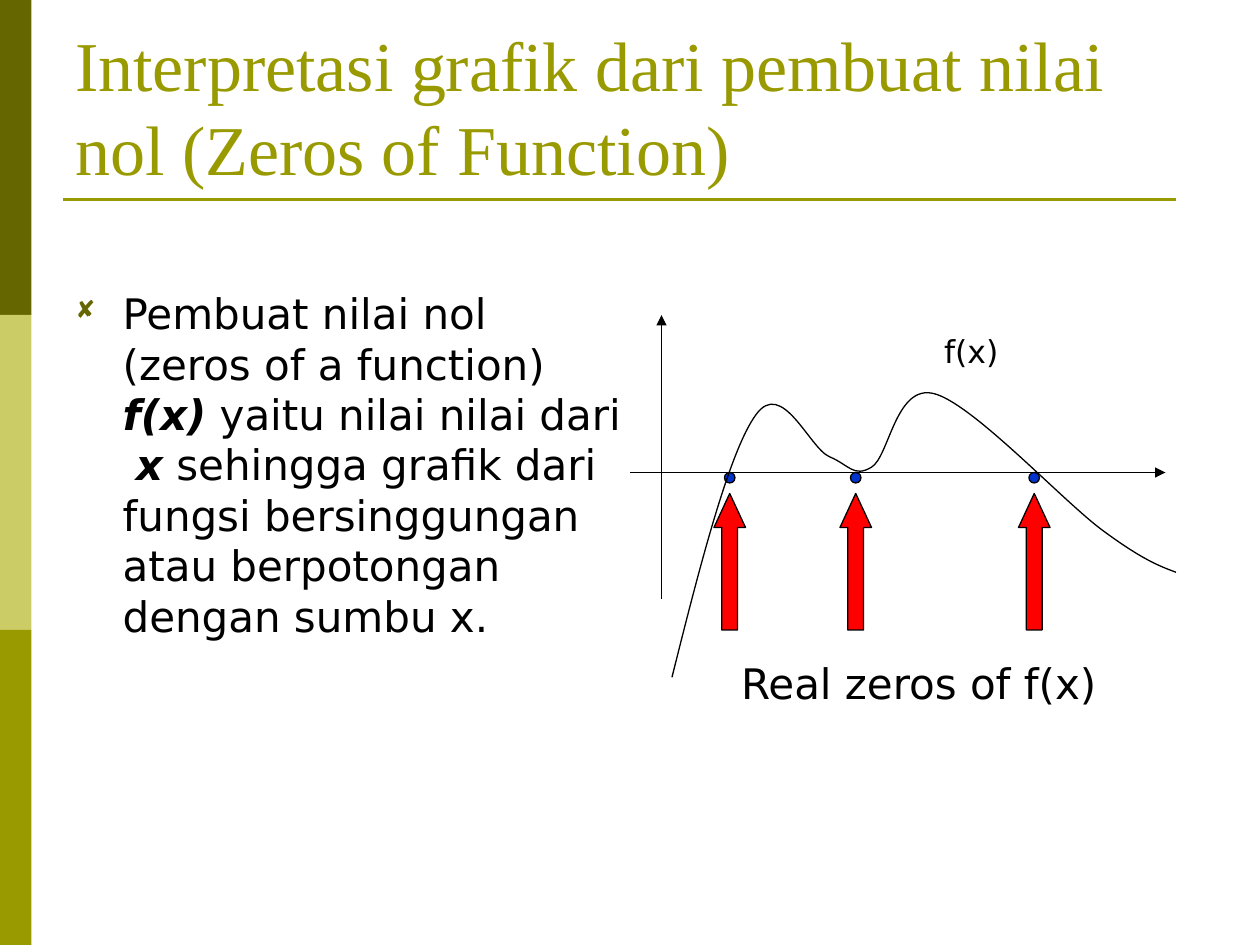
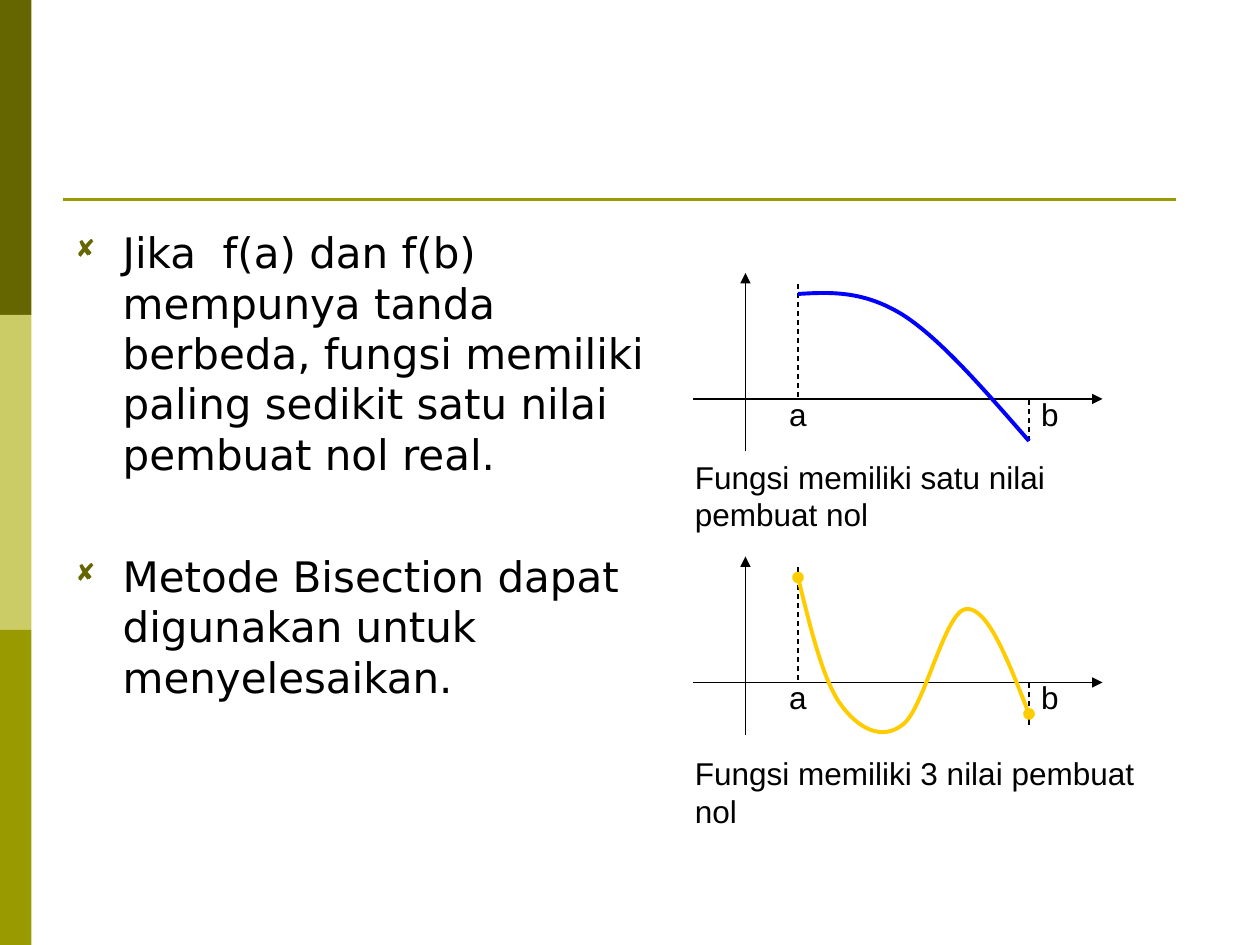
from dataclasses import dataclass

from lxml.etree import SubElement
from pptx import Presentation
from pptx.dml.color import RGBColor
from pptx.enum.dml import MSO_LINE_DASH_STYLE as DASH
from pptx.enum.shapes import MSO_CONNECTOR as CONNECTOR, MSO_SHAPE as SHAPE
from pptx.enum.text import MSO_ANCHOR as ANCHOR, PP_ALIGN as ALIGN
from pptx.oxml.ns import qn
from pptx.util import Emu, Pt

PX = 7620  # 120 px to the inch


@dataclass(frozen=True)
class Theme:
    dark: str = "666600"
    light: str = "CCCC66"
    olive: str = "999900"
    ink: str = "000000"
    zero_dot: str = "0033CC"
    arrow: str = "FF0000"
    one_zero: str = "0000FF"
    three_zeros: str = "FFCC00"
    title_font: str = "Times New Roman"
    body_font: str = "DejaVu Sans"
    label_font: str = "Arial"
    bullet_font: str = "Wingdings"
    title_size: int = 40
    body_size: int = 24
    label_size: int = 18
    thin: float = 0.75
    rule: float = 1.5
    thick: float = 2.25


THEME = Theme()


def px(*lengths):
    return [Emu(length * PX) for length in lengths]


def rgb(code):
    return RGBColor.from_string(code)


# Lines and shapes
def set_line(line, color, width, dash=None, head=None, tail=None):
    line.color.rgb = rgb(color)
    line.width = Pt(width)
    if dash:
        line.dash_style = dash
    line_xml = line._get_or_add_ln()
    for tag, kind in (("a:headEnd", head), ("a:tailEnd", tail)):
        if kind:
            SubElement(line_xml, qn(tag), type=kind)


def add_line(slide, start, end, color=THEME.ink, width=THEME.thin, **line_format):
    connector = slide.shapes.add_connector(CONNECTOR.STRAIGHT, *px(*start, *end))
    set_line(connector.line, color, width, **line_format)
    SubElement(connector._element.spPr, qn("a:effectLst"))


def add_shape(slide, kind, box, fill, outline=None):
    shape = slide.shapes.add_shape(kind, *px(*box))
    shape.shadow.inherit = False
    shape.fill.solid()
    shape.fill.fore_color.rgb = rgb(fill)
    if outline:
        set_line(shape.line, outline, THEME.thin)
    else:
        shape.line.fill.background()
    return shape


def add_curve(slide, start, segments, color=THEME.ink, width=THEME.thin, **line_format):
    """Draw cubic segments, each given as two controls and an end."""
    builder = slide.shapes.build_freeform(*start, scale=PX)
    builder.add_line_segments([point for segment in segments for point in segment],
                              close=False)
    curve = builder.convert_to_shape()

    # Turn every three straight steps into one cubic step
    outline = next(curve._element.iter(qn("a:path")))
    steps = outline.findall(qn("a:lnTo"))
    for index in range(0, len(steps), 3):
        cubic = SubElement(outline, qn("a:cubicBezTo"))
        for step in steps[index:index + 3]:
            cubic.append(step[0])
            outline.remove(step)

    curve.shadow.inherit = False
    curve.fill.background()
    set_line(curve.line, color, width, **line_format)


# Text
def add_bullet(paragraph):
    properties = paragraph._p.get_or_add_pPr()
    indent, = px(45)
    properties.set("marL", str(indent))
    properties.set("indent", str(-indent))
    SubElement(SubElement(properties, qn("a:buClr")), qn("a:srgbClr"), val=THEME.dark)
    SubElement(properties, qn("a:buSzPct"), val="75000")
    SubElement(properties, qn("a:buFont"), typeface=THEME.bullet_font, charset="2")
    SubElement(properties, qn("a:buChar"), char="◻")


def add_text(slide, box, *paragraphs, font=THEME.body_font, size=THEME.body_size,
             color=THEME.ink, align=ALIGN.LEFT, anchor=ANCHOR.TOP, bullets=False, gap=0):
    """Each paragraph is a list of runs; a run is (text, emphasized)."""
    frame = slide.shapes.add_textbox(*px(*box)).text_frame
    frame.word_wrap = True
    frame.vertical_anchor = anchor
    for index, runs in enumerate(paragraphs):
        paragraph = frame.add_paragraph() if index else frame.paragraphs[0]
        paragraph.alignment = align
        if bullets:
            paragraph.space_before = Pt(gap if index else 6)
            add_bullet(paragraph)
        for text, emphasized in runs:
            run = paragraph.add_run()
            run.text = text
            run.font.name = font
            run.font.size = Pt(size)
            run.font.color.rgb = rgb(color)
            run.font.bold = run.font.italic = emphasized


def plain(text):
    return [(text, False)]


# Shared slide frame
def add_slide(presentation, title=None):
    slide = presentation.slides.add_slide(presentation.slide_layouts[6])
    for index, color in enumerate((THEME.dark, THEME.light, THEME.olive)):
        add_shape(slide, SHAPE.RECTANGLE, (0, 300 * index, 30, 300), color)
    add_line(slide, (60, 190), (1120, 190), THEME.olive, THEME.rule)
    if title:
        add_text(slide, (60, 36, 1080, 150), plain(title), font=THEME.title_font,
                 size=THEME.title_size, color=THEME.olive, anchor=ANCHOR.BOTTOM)
    return slide


def add_axes(slide, left, right, axis_y, axis_x, top, bottom):
    add_line(slide, (axis_x, bottom), (axis_x, top), tail="triangle")
    add_line(slide, (left, axis_y), (right, axis_y), tail="triangle")


def add_interval_plot(slide, axis_y, caption, caption_box):
    """Axes with the interval from a to b marked by dashed lines."""
    add_axes(slide, 660, 1050, axis_y, 710, axis_y - 120, axis_y + 50)
    for x, end_y in ((760, axis_y - 110), (980, axis_y + 40)):
        add_line(slide, (x, end_y), (x, axis_y), dash=DASH.DASH)
    for label, left in (("a", 710), ("b", 950)):
        add_text(slide, (left, axis_y - 10, 70, 48), plain(label),
                 font=THEME.label_font, size=THEME.label_size, align=ALIGN.RIGHT)
    add_text(slide, caption_box, plain(caption),
             font=THEME.label_font, size=THEME.label_size)


def build_zeros_slide(presentation):
    slide = add_slide(
        presentation, "Interpretasi grafik dari pembuat nilai nol (Zeros of Function)")
    definition = [
        ("Pembuat nilai nol (zeros of a function) ", False),
        ("f(x)", True),
        (" yaitu nilai nilai dari  ", False),
        ("x", True),
        (" sehingga grafik dari fungsi bersinggungan atau berpotongan "
         "dengan sumbu x.", False),
    ]
    add_text(slide, (60, 268, 550, 536), definition, bullets=True)

    # Graph with its three zeros
    add_axes(slide, 600, 1110, 450, 630, 300, 570)
    for zero_x in (695, 815, 985):
        add_shape(slide, SHAPE.OVAL, (zero_x - 5, 450, 10, 10), THEME.zero_dot, THEME.ink)
        arrow = add_shape(slide, SHAPE.UP_ARROW, (zero_x - 15, 470, 30, 130),
                          THEME.arrow, THEME.ink)
        arrow.adjustments[0] = 0.5
        arrow.adjustments[1] = 1.08
    add_text(slide, (650, 620, 450, 60), plain("Real zeros of f(x)"), align=ALIGN.CENTER)
    add_text(slide, (880, 310, 90, 48), plain("f(x)"),
             size=THEME.label_size, align=ALIGN.CENTER)
    add_curve(slide, (640, 645), [
        ((667, 537), (695, 429), (720, 395)),
        ((745, 360), (771, 427), (790, 435)),
        ((809, 443), (813, 455), (830, 445)),
        ((847, 435), (853, 365), (890, 375)),
        ((927, 385), (1012, 477), (1050, 505)),
        ((1088, 533), (1104, 539), (1120, 545)),
    ])


def build_bisection_slide(presentation):
    slide = add_slide(presentation)

    # One zero between a and b
    add_interval_plot(slide, 380, "Fungsi memiliki satu nilai pembuat nol",
                      (650, 430, 450, 84))
    add_curve(slide, (760, 280), [
        ((792, 278), (823, 277), (860, 300)),
        ((896, 323), (938, 372), (980, 420)),
    ], THEME.one_zero, THEME.thick)

    # Three zeros between a and b
    add_interval_plot(slide, 650, "Fungsi memiliki 3 nilai pembuat nol",
                      (650, 712, 470, 84))
    add_curve(slide, (760, 550), [
        ((772, 599), (784, 647), (800, 670)),
        ((817, 694), (840, 706), (860, 690)),
        ((880, 675), (900, 582), (920, 580)),
        ((940, 578), (960, 629), (980, 680)),
    ], THEME.three_zeros, THEME.thick, head="oval", tail="oval")

    add_text(
        slide, (60, 210, 570, 520),
        plain("Jika  f(a) dan f(b)  mempunya tanda berbeda, fungsi memiliki "
              "paling sedikit satu nilai pembuat nol real."),
        plain("Metode Bisection dapat digunakan untuk menyelesaikan."),
        bullets=True, gap=41)


def main():
    presentation = Presentation()
    presentation.slide_width, presentation.slide_height = px(1200, 900)
    build_zeros_slide(presentation)
    build_bisection_slide(presentation)
    presentation.save("out.pptx")


if __name__ == "__main__":
    main()
